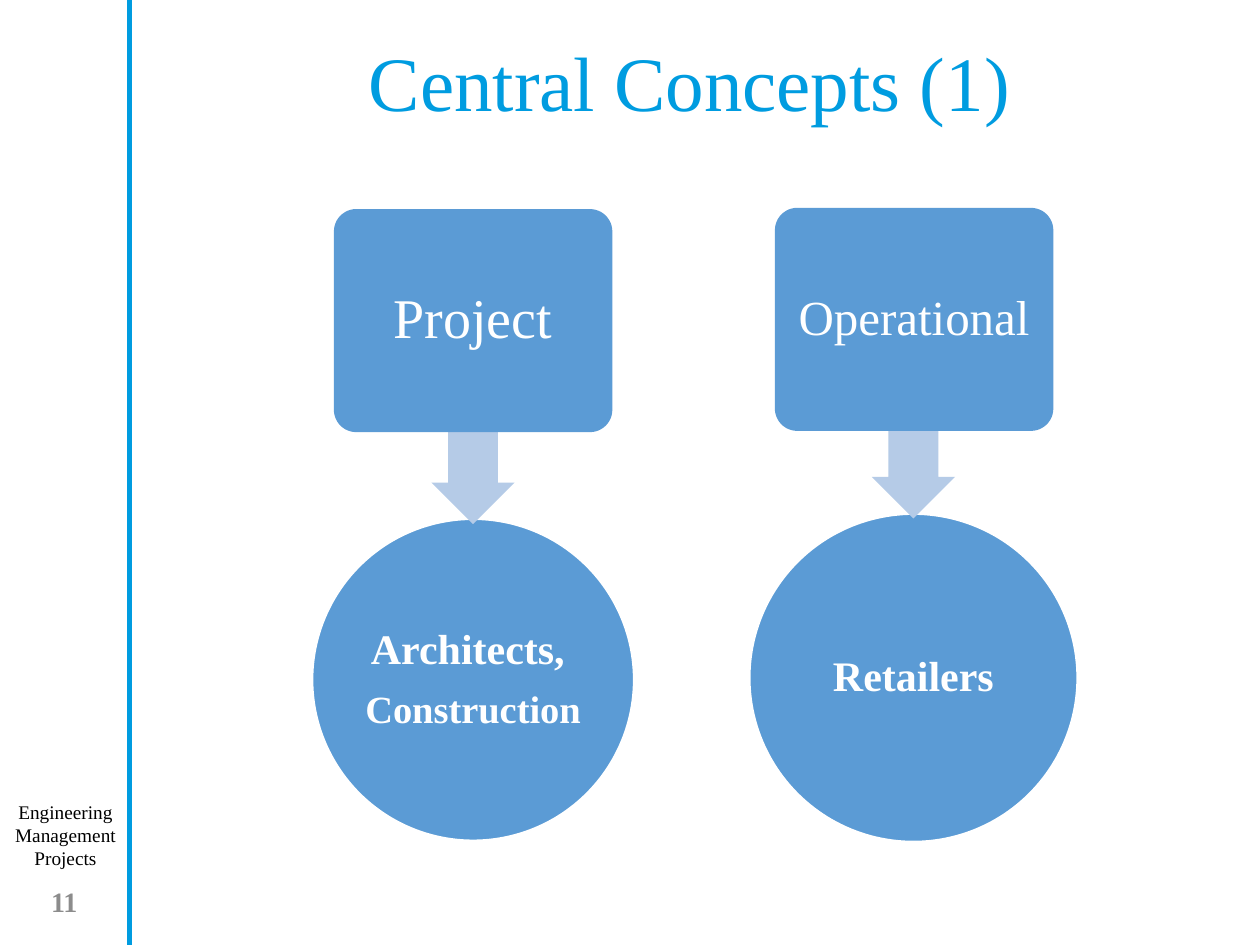
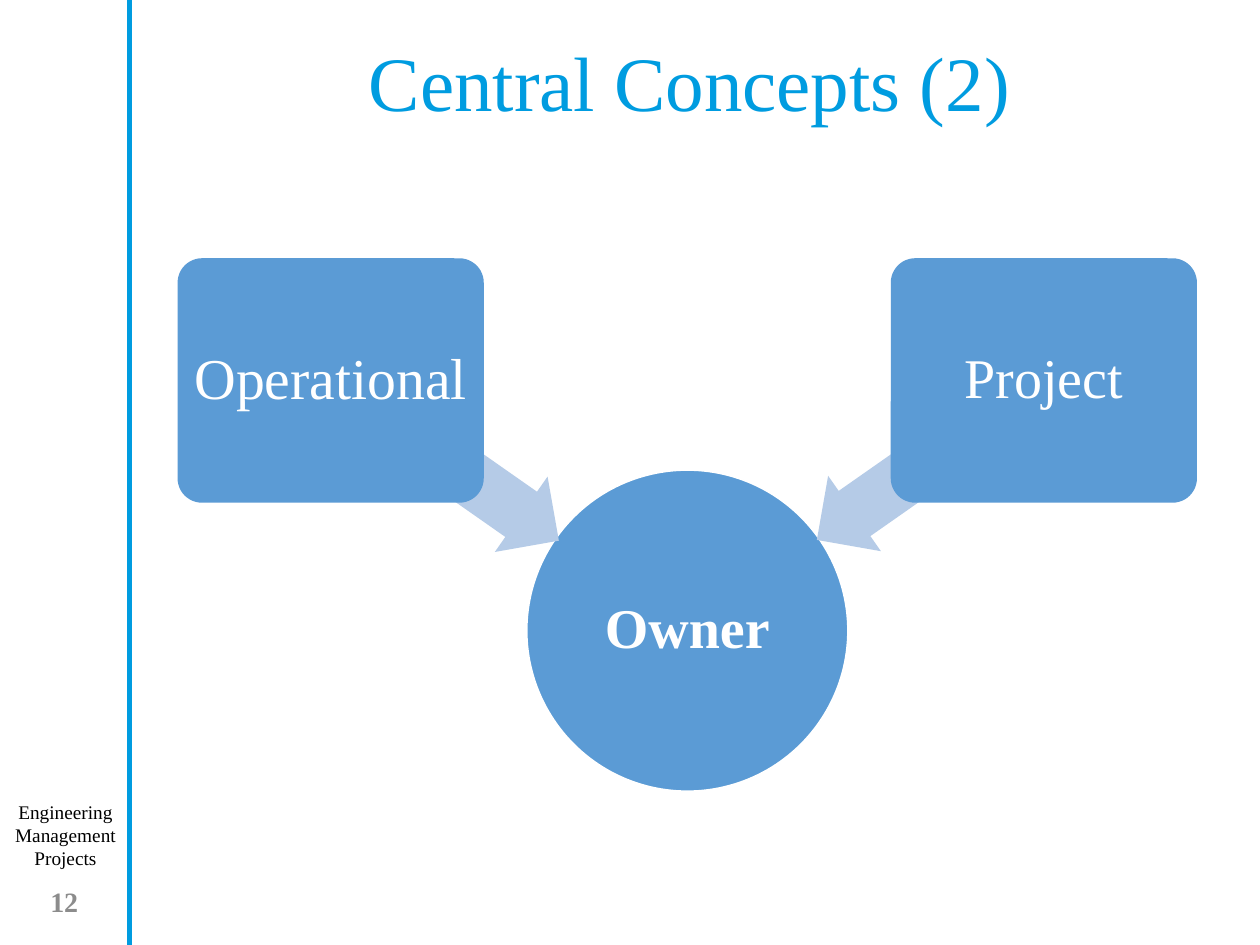
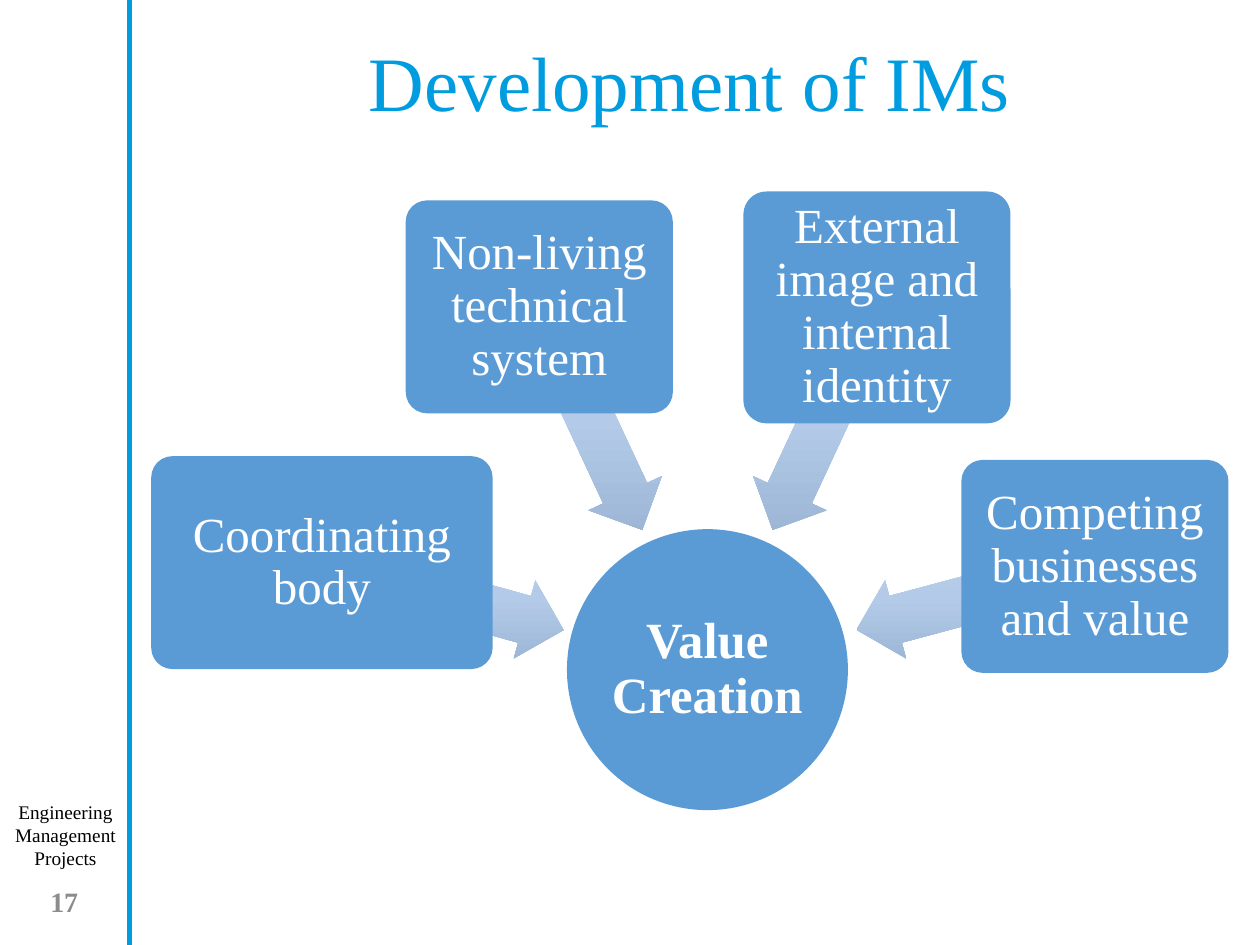
import math
from dataclasses import dataclass

from pptx import Presentation
from pptx import util as u
from pptx.dml import color
from pptx.enum import shapes, text
from pptx.oxml import parse_xml
from pptx.oxml import ns


@dataclass(frozen=True)
class Theme:
    font: str = "Times New Roman"
    accent: str = "009CE0"
    node: str = "5B9BD5"
    arrow: str = "B5CBE7"
    arrow_shades: tuple = ((0, "C0D2EB"), (50, "B3CBE9"), (100, "9BB4D3"))
    on_node: str = "FFFFFF"
    ink: str = "000000"
    number: str = "8C8C8C"
    title_size: int = 44
    footer_size: int = 11
    number_size: int = 16
    rule_width: float = 2.75
    tight: float = 0.9


THEME = Theme()
COURSE = "Engineering Management Projects"
TITLE_AREA = (1.63, 0.22, 7.69, 0.93)
COURSE_AREA = (0, 6.3, 1.04, 0.66)
NUMBER_AREA = (-0.01, 6.95, 1.04, 0.4)
RULE_X = 1.03

# Hub: (lines, sizes, left, top, diameter)
# Spoke: (label, size, box area, arrow angle, distance from hub, length, thickness)
SLIDES = [
    dict(number=11, title="Central Concepts (1)", shaded=False, diagrams=[
        dict(hub=(["Architects, ", "Construction"], [24, 22], 2.48, 4.12, 2.55),
             spokes=[("Project", 32, (2.65, 1.66, 2.21, 1.77), 270, 1.98, 1.49, 0.66)]),
        dict(hub=(["Retailers"], [24], 5.95, 4.08, 2.6),
             spokes=[("Operational", 28, (6.15, 1.65, 2.21, 1.77), 270, 2, 1.47, 0.66)]),
    ]),
    dict(number=12, title="Central Concepts (2)", shaded=False, diagrams=[
        dict(hub=(["Owner"], [32], 4.18, 3.73, 2.55),
             spokes=[("Operational", 33, (1.41, 2.05, 2.43, 1.94), 215, 2.43, 2.37, 0.73),
                     ("Project", 32, (7.07, 2.05, 2.43, 1.94), 325, 2.43, 2.35, 0.73)]),
    ]),
    dict(number=17, title="Development of IMs", shaded=True, diagrams=[
        dict(hub=(["Value Creation"], [29], 4.5, 4.2, 2.23),
             spokes=[("Coordinating body", 28, (1.2, 3.62, 2.71, 1.69), 195.4, 2.16, 1.95, 0.64),
                     ("Non-living technical system", 28, (3.22, 1.59, 2.12, 1.69), 245, 2.2, 1.95, 0.64),
                     ("External image and internal identity", 28, (5.9, 1.52, 2.12, 1.84), 295, 2.2, 1.95, 0.64),
                     ("Competing businesses and value", 28, (7.63, 3.65, 2.12, 1.69), 345, 2.2, 1.95, 0.64)]),
    ]),
]


def inches(area):
    return [u.Inches(length) for length in area]


def rgb(code):
    return color.RGBColor.from_string(code)


def write(holder, lines, sizes, ink, bold=False, anchor=text.MSO_ANCHOR.MIDDLE,
          spacing=None, inset=None):
    frame = holder.text_frame
    frame.word_wrap = True
    frame.vertical_anchor = anchor
    if inset is not None:
        frame.margin_left = frame.margin_right = u.Inches(inset)
        frame.margin_top = frame.margin_bottom = u.Inches(inset)
    frame.text = "\n".join(lines)
    for paragraph, size in zip(frame.paragraphs, sizes):
        paragraph.alignment = text.PP_ALIGN.CENTER
        paragraph.line_spacing = spacing
        font = paragraph.runs[0].font
        font.name, font.size, font.bold = THEME.font, u.Pt(size), bold
        font.color.rgb = rgb(ink)
    for paragraph, size in zip(frame.paragraphs[:-1], sizes):
        paragraph.space_after = u.Pt(size * 0.4)


def add_plain(slide, kind, area, fill):
    part = slide.shapes.add_shape(kind, *inches(area))
    part.shadow.inherit = False
    part.fill.solid()
    part.fill.fore_color.rgb = rgb(fill)
    part.line.fill.background()
    return part


def shade(arrow):
    stops = "".join(f'<a:gs pos="{percent * 1000}"><a:srgbClr val="{code}"/></a:gs>'
                    for percent, code in THEME.arrow_shades)
    gradient = parse_xml(f'<a:gradFill {ns.nsdecls("a")} rotWithShape="0"><a:gsLst>{stops}</a:gsLst>'
                         '<a:lin ang="5400000" scaled="0"/></a:gradFill>')
    solid = arrow.element.spPr.find(ns.qn("a:solidFill"))
    solid.getparent().replace(solid, gradient)


def add_arrow(slide, centre, angle, distance, length, thickness, shaded):
    x = centre[0] + distance * math.cos(math.radians(angle))
    y = centre[1] + distance * math.sin(math.radians(angle))
    area = (x - length / 2, y - thickness / 2, length, thickness)
    arrow = add_plain(slide, shapes.MSO_SHAPE.LEFT_ARROW, area, THEME.arrow)
    arrow.adjustments[0], arrow.adjustments[1] = 0.6, 0.5
    arrow.rotation = angle
    if shaded:
        shade(arrow)


def add_diagram(slide, hub, spokes, shaded):
    lines, sizes, left, top, diameter = hub
    circle = add_plain(slide, shapes.MSO_SHAPE.OVAL, (left, top, diameter, diameter), THEME.node)
    if not shaded:
        circle.line.color.rgb = rgb(THEME.on_node)
        circle.line.width = u.Pt(1)
    write(circle, lines, sizes, THEME.on_node, bold=True, spacing=THEME.tight, inset=0.02)
    centre = (left + diameter / 2, top + diameter / 2)
    for label, size, area, *arrow in spokes:
        add_arrow(slide, centre, *arrow, shaded)
        box = add_plain(slide, shapes.MSO_SHAPE.ROUNDED_RECTANGLE, area, THEME.node)
        box.adjustments[0] = 0.1
        write(box, [label], [size], THEME.on_node, spacing=THEME.tight, inset=0.06)


def set_up_layout(layout, slide, height):
    title = layout.placeholders[0]
    title.left, title.top, title.width, title.height = inches(TITLE_AREA)
    x = u.Inches(RULE_X)
    rule = slide.shapes.add_connector(shapes.MSO_CONNECTOR.STRAIGHT, x, 0, x, height)
    rule.line.color.rgb = rgb(THEME.accent)
    rule.line.width = u.Pt(THEME.rule_width)
    rule.element.spPr.append(parse_xml(f'<a:effectLst {ns.nsdecls("a")}/>'))
    course = slide.shapes.add_textbox(*inches(COURSE_AREA))
    write(course, [COURSE], [THEME.footer_size], THEME.ink, anchor=text.MSO_ANCHOR.TOP)
    for shared in (rule, course):
        layout.shapes.element.append(shared.element)


def main():
    deck = Presentation()
    deck.slide_width, deck.slide_height = inches((10, 7.5))
    layout = deck.slide_layouts.get_by_name("Title Only")
    for index, content in enumerate(SLIDES):
        slide = deck.slides.add_slide(layout)
        if index == 0:
            set_up_layout(layout, slide, deck.slide_height)
        write(slide.shapes.title, [content["title"]], [THEME.title_size], THEME.accent,
              spacing=THEME.tight)
        number = slide.shapes.add_textbox(*inches(NUMBER_AREA))
        write(number, [str(content["number"])], [THEME.number_size], THEME.number, bold=True)
        for diagram in content["diagrams"]:
            add_diagram(slide, **diagram, shaded=content["shaded"])
    deck.save("out.pptx")


if __name__ == "__main__":
    main()
